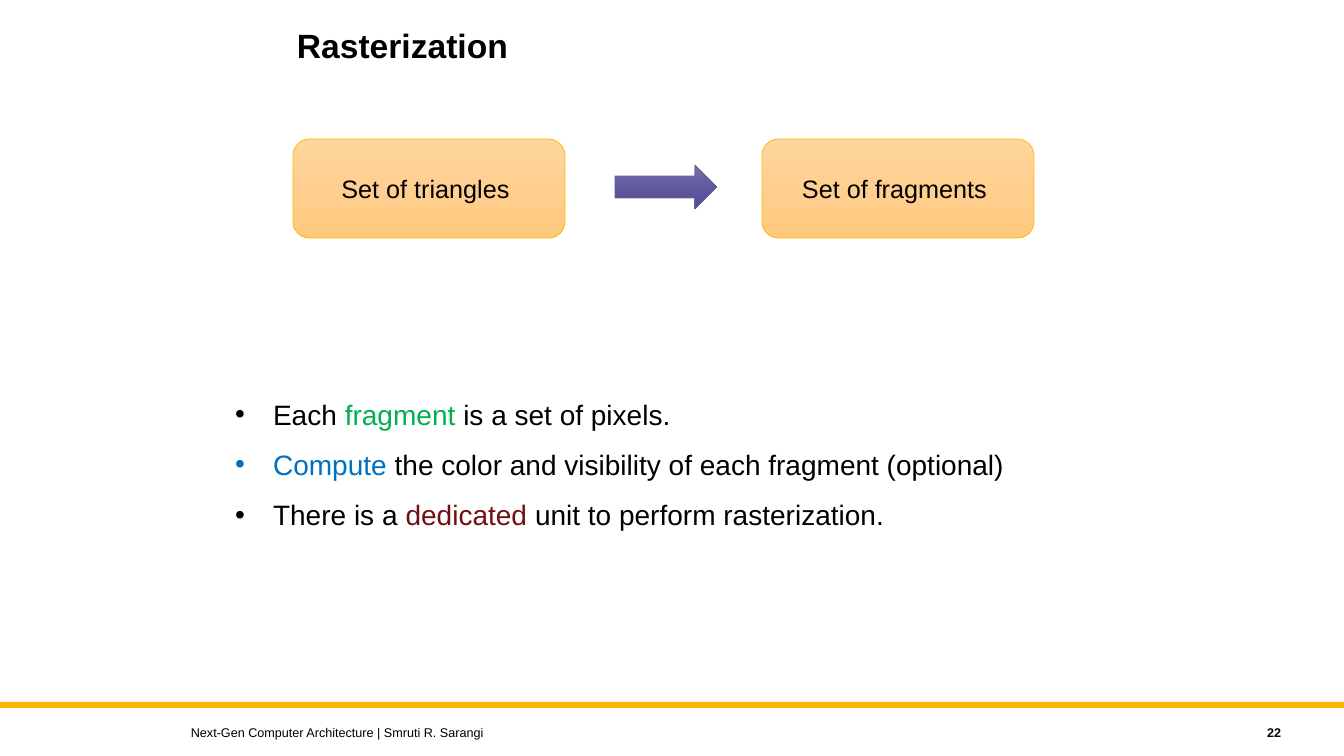
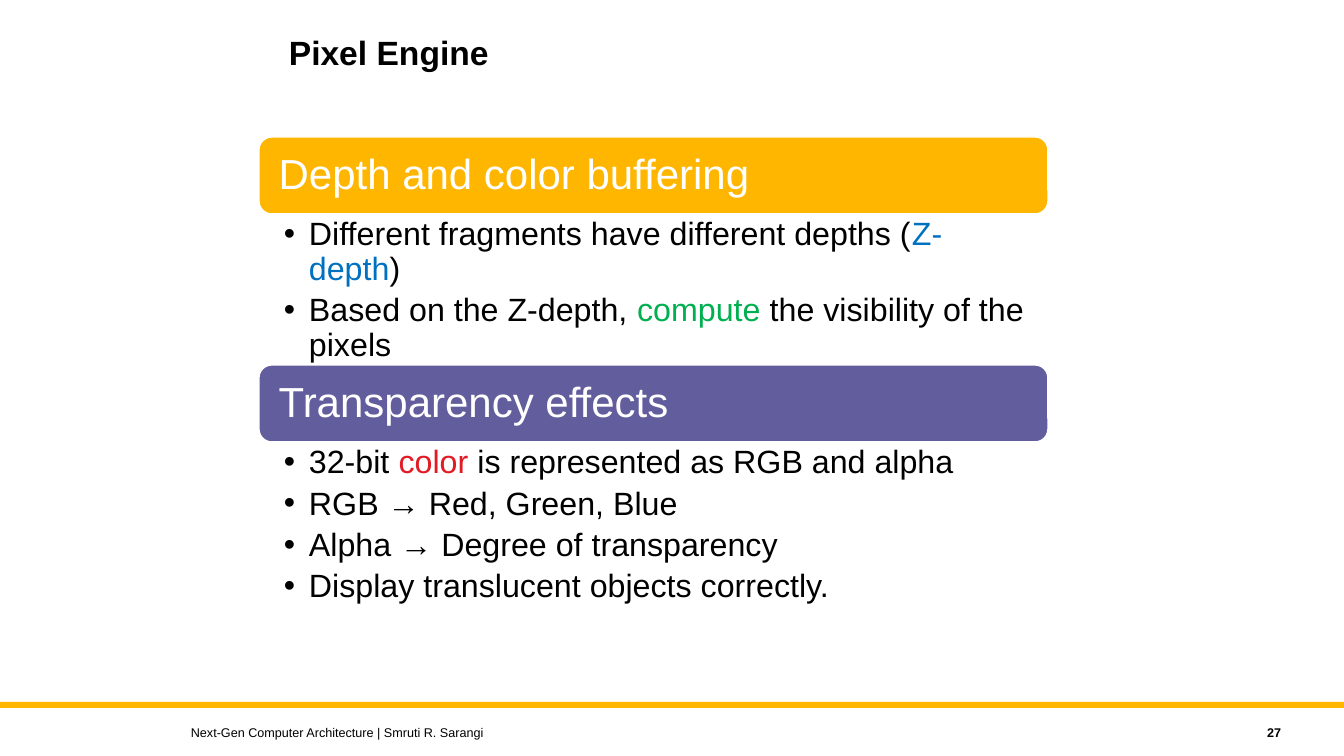
import copy
from dataclasses import dataclass

import pptx
import pptx.dml.color
import pptx.enum.shapes
import pptx.enum.text
import pptx.oxml.ns
import pptx.util
from lxml import etree

EMU_PER_PX = 914400 / 100.8
SLIDE_WIDTH, SLIDE_HEIGHT = 1344, 756
FONT = "Arial"
FOOTER = "Next-Gen Computer Architecture | Smruti R. Sarangi"

# Colours
BLACK, WHITE = "000000", "FFFFFF"
AMBER, PURPLE = "FFB600", "625D9C"
GREEN, BLUE, MAROON, RED = "00B050", "0070C0", "720F11", "E21A23"
AMBER_GRADIENT = ("FFD69E", "FFCF90", "FFC97C")
PURPLE_GRADIENT = ("7571A8", "5F5A9F", "524D90")

Shapes = pptx.enum.shapes.MSO_SHAPE
Align = pptx.enum.text.PP_ALIGN
Anchor = pptx.enum.text.MSO_ANCHOR


@dataclass(frozen=True)
class Box:
    left: int
    top: int
    width: int
    height: int


@dataclass(frozen=True)
class Span:
    text: str
    color: str = BLACK


@dataclass(frozen=True)
class BulletStyle:
    size: int
    indent: int
    before: float = 0
    after: float = 0
    line_spacing: float = 1.0


@dataclass(frozen=True)
class Section:
    heading: str
    fill: str
    body_height: int
    bullets: tuple[tuple[Span, ...], ...]


def px(length: int) -> int:
    return round(length * EMU_PER_PX)


def rgb(value: str):
    return pptx.dml.color.RGBColor.from_string(value)


def place(box: Box) -> tuple[int, ...]:
    return px(box.left), px(box.top), px(box.width), px(box.height)


def set_font(font, size: int, color: str = BLACK, bold: bool = False) -> None:
    font.name = FONT
    font.size = pptx.util.Pt(size)
    font.bold = bold
    font.color.rgb = rgb(color)


def set_insets(text_frame, left: int, top: int, right: int, bottom: int) -> None:
    text_frame.margin_left, text_frame.margin_top = px(left), px(top)
    text_frame.margin_right, text_frame.margin_bottom = px(right), px(bottom)


def write(shape, text: str, size: int, color: str = BLACK, bold: bool = False,
          align=Align.LEFT, anchor=Anchor.MIDDLE, line_spacing: float = 1.0) -> None:
    """Put one formatted paragraph into a shape."""
    text_frame = shape.text_frame
    text_frame.word_wrap = True
    text_frame.vertical_anchor = anchor
    text_frame.text = text
    paragraph = text_frame.paragraphs[0]
    paragraph.alignment = align
    paragraph.line_spacing = line_spacing
    set_font(paragraph.runs[0].font, size, color, bold)


def add_text(slide, box: Box, text: str, size: int, **style) -> None:
    write(slide.shapes.add_textbox(*place(box)), text, size, **style)


def add_filled(slide, kind, box: Box, fill: str | tuple[str, ...],
               line: str | None = None, line_width: float = 0.5):
    """Add a preset shape with a solid fill or an evenly spaced downward gradient."""
    shape = slide.shapes.add_shape(kind, *place(box))
    shape.shadow.inherit = False
    if isinstance(fill, str):
        shape.fill.solid()
        shape.fill.fore_color.rgb = rgb(fill)
    else:
        shape.fill.gradient()
        shape.fill.gradient_angle = 270
        stop_list = shape._element.spPr.find(".//" + pptx.oxml.ns.qn("a:gsLst"))
        while len(stop_list) < len(fill):
            stop_list.append(copy.deepcopy(stop_list[0]))
        for index, (stop, color) in enumerate(zip(shape.fill.gradient_stops, fill)):
            stop.position = index / (len(fill) - 1)
            stop.color.rgb = rgb(color)
    if line is None:
        shape.line.fill.background()
    else:
        shape.line.color.rgb = rgb(line)
        shape.line.width = pptx.util.Pt(line_width)
    return shape


def add_bullets(slide, box: Box, bullets: tuple[tuple[Span, ...], ...],
                style: BulletStyle, insets: tuple[int, int, int, int]) -> None:
    text_frame = slide.shapes.add_textbox(*place(box)).text_frame
    text_frame.word_wrap = True
    set_insets(text_frame, *insets)
    for index, spans in enumerate(bullets):
        paragraph = text_frame.add_paragraph() if index else text_frame.paragraphs[0]
        properties = paragraph._p.get_or_add_pPr()
        properties.set("marL", str(px(style.indent)))
        properties.set("indent", str(-px(style.indent)))
        bullet_font = etree.SubElement(properties, pptx.oxml.ns.qn("a:buFont"))
        bullet_font.set("typeface", FONT)
        etree.SubElement(properties, pptx.oxml.ns.qn("a:buChar")).set("char", "•")
        paragraph.line_spacing = style.line_spacing
        paragraph.space_before = pptx.util.Pt(style.before if index else 0)
        paragraph.space_after = pptx.util.Pt(style.after)
        for span in spans:
            run = paragraph.add_run()
            run.text = span.text
            set_font(run.font, style.size, span.color)


def new_slide(presentation, title: str, title_left: int, title_top: int, number: int):
    """Start a slide with the shared band, title, page number and footer."""
    slide = presentation.slides.add_slide(presentation.slide_layouts[6])
    add_filled(slide, Shapes.RECTANGLE, Box(0, 702, SLIDE_WIDTH, 6), AMBER)
    add_text(slide, Box(title_left, title_top, 769, 91), title, 24, bold=True,
             anchor=Anchor.TOP, line_spacing=0.9)
    add_text(slide, Box(1150, 720, 141, 25), str(number), 9, bold=True, align=Align.RIGHT)
    add_text(slide, Box(181, 720, 806, 25), FOOTER, 9)
    return slide


def build_rasterization(presentation) -> None:
    slide = new_slide(presentation, "Rasterization", 287, 24, 22)

    # Input and output of the stage
    for left, label in ((293, "Set of triangles "), (762, "Set of fragments ")):
        stage = add_filled(slide, Shapes.ROUNDED_RECTANGLE, Box(left, 139, 272, 99),
                           AMBER_GRADIENT, AMBER)
        write(stage, label, 18, align=Align.CENTER)
    add_filled(slide, Shapes.RIGHT_ARROW, Box(615, 165, 102, 44), PURPLE_GRADIENT, PURPLE)

    # Explanation
    bullets = (
        (Span("Each "), Span("fragment", GREEN), Span(" is a set of pixels.")),
        (Span("Compute", BLUE),
         Span(" the color and visibility of each fragment (optional)")),
        (Span("There is a "), Span("dedicated", MAROON),
         Span(" unit to perform rasterization.")),
    )
    add_bullets(slide, Box(225, 392, 894, 188), bullets,
                BulletStyle(size=20, indent=38, before=12), (10, 5, 10, 5))


def build_pixel_engine(presentation) -> None:
    slide = new_slide(presentation, "Pixel Engine", 279, 32, 27)
    sections = (
        Section("Depth and color buffering", AMBER, 151, (
            (Span("Different fragments have different depths ("),
             Span("Z-depth", BLUE), Span(")")),
            (Span("Based on the Z-depth, "), Span("compute", GREEN),
             Span(" the visibility of the pixels")),
        )),
        Section("Transparency effects", PURPLE, 206, (
            (Span("32-bit "), Span("color", RED),
             Span(" is represented as RGB and alpha")),
            (Span("RGB → Red, Green, Blue"),),
            (Span("Alpha → Degree of transparency"),),
            (Span("Display translucent objects correctly."),),
        )),
    )
    bullet_style = BulletStyle(size=23, indent=25, after=4.6, line_spacing=0.9)

    # Headings and their bullets, stacked without gaps
    left, top, width, heading_height = 259, 137, 789, 77
    for section in sections:
        heading = add_filled(slide, Shapes.ROUNDED_RECTANGLE,
                             Box(left, top, width, heading_height),
                             section.fill, WHITE, 1)
        set_insets(heading.text_frame, 16, 16, 16, 16)
        write(heading, section.heading, 30, WHITE, line_spacing=0.9)
        top += heading_height
        add_bullets(slide, Box(left, top, width, section.body_height),
                    section.bullets, bullet_style, (25, 4, 23, 4))
        top += section.body_height


def main() -> None:
    presentation = pptx.Presentation()
    presentation.slide_width = px(SLIDE_WIDTH)
    presentation.slide_height = px(SLIDE_HEIGHT)
    build_rasterization(presentation)
    build_pixel_engine(presentation)
    presentation.save("out.pptx")


if __name__ == "__main__":
    main()
